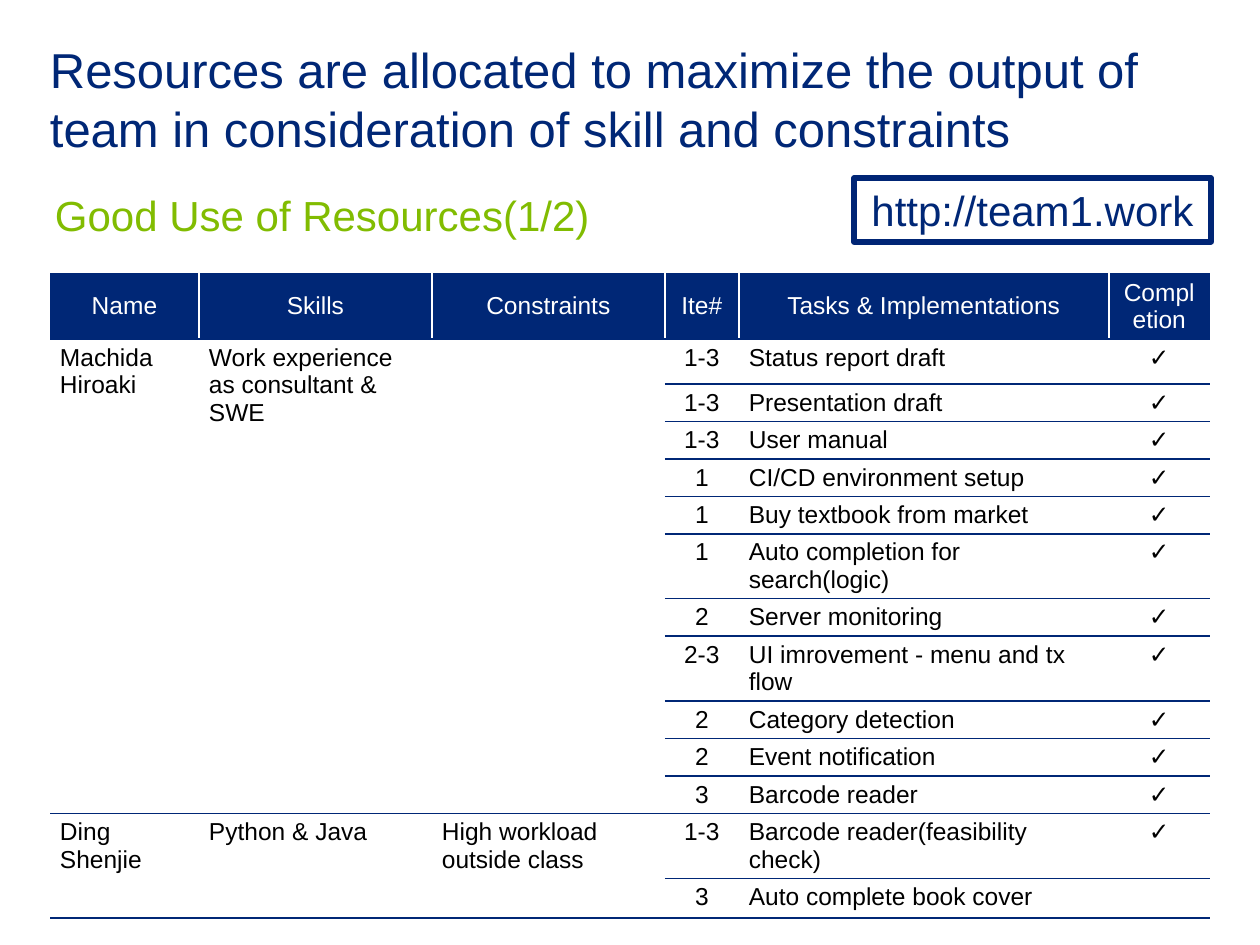
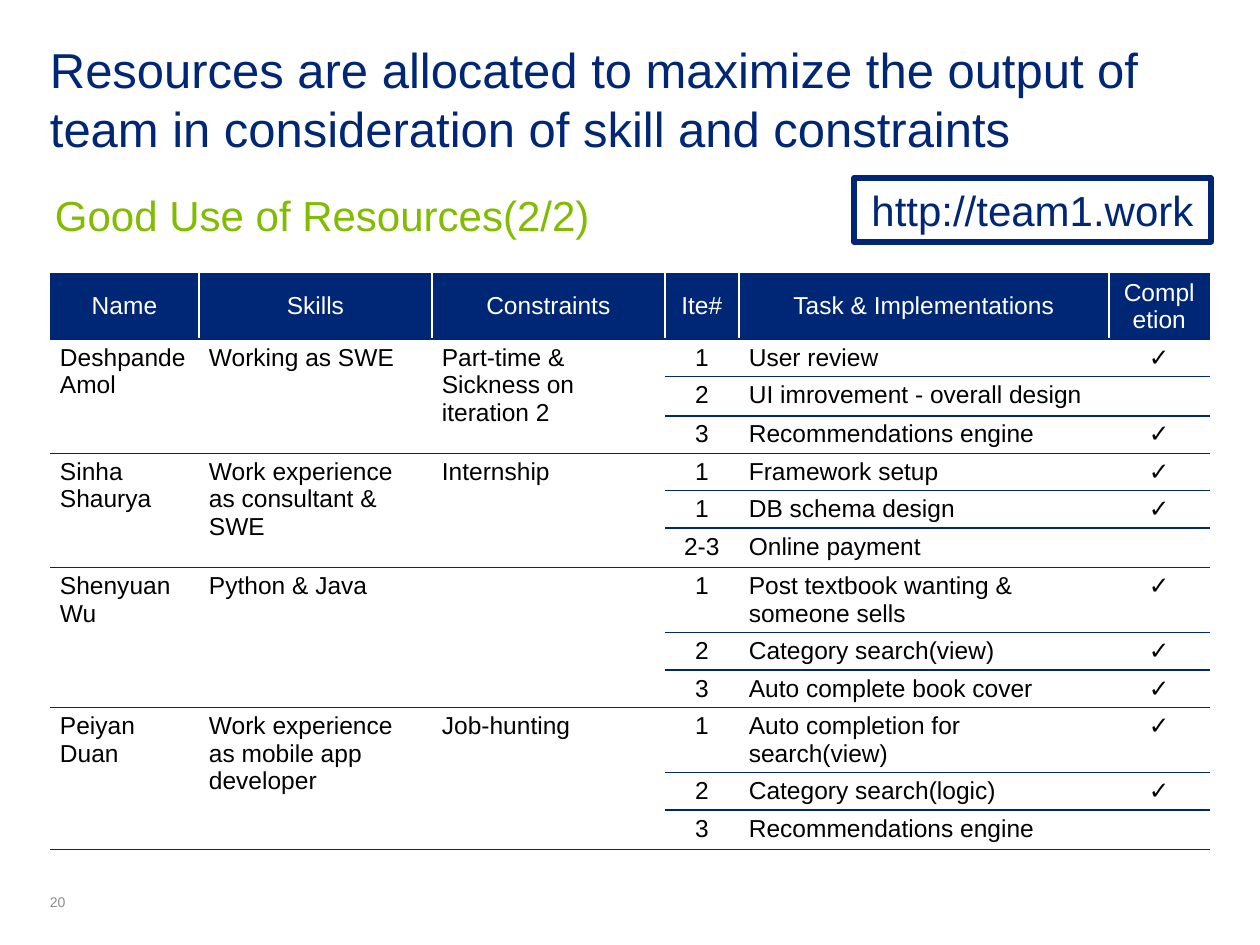
from lxml import etree
from pptx import Presentation
from pptx.dml.color import RGBColor
from pptx.enum.shapes import MSO_SHAPE
from pptx.enum.text import MSO_ANCHOR, PP_ALIGN
from pptx.oxml.ns import qn
from pptx.util import Emu, Pt

RECT = MSO_SHAPE.RECTANGLE
TOP, MIDDLE, BOTTOM = MSO_ANCHOR.TOP, MSO_ANCHOR.MIDDLE, MSO_ANCHOR.BOTTOM
LEFT, CENTER = PP_ALIGN.LEFT, PP_ALIGN.CENTER

PX = 914400 // 126
FONT = "Arial"
NAVY, FRAME, GREEN = "002776", "002575", "81BC01"
WHITE, BLACK, GRAY = "FFFFFF", "000000", "8C8C8C"
NO_STYLE = "{2D5ABB26-0587-4C30-8999-92F81FD0307C}"

TITLE = ("Resources are allocated to maximize the output of team "
         "in consideration of skill and constraints")
URL = "http://team1.work"
TITLE_BOX = (50, 40, 1160, 64)
SUBTITLE_BOX = (55, 189, 780, 44)
URL_BOX = (854, 178, 357, 64)
TABLE_BOX = (50, 274, 1160)
PAGE_BOX = (50, 893, 63, 17)

COL_WIDTHS = (149, 233, 233, 74, 370, 101)
CENTERED_COLS = (3, 5)
ONE_LINE, TWO_LINES, FIRST_TALL = 37, 65, 45
CELL_LEADING = Pt(15.7)
DONE, OPEN = "✓", ""

TEAM_1 = [
    ("Machida Hiroaki", "Work experience as consultant & SWE", "", [
        ("1-3", "Status report draft", DONE, FIRST_TALL),
        ("1-3", "Presentation draft", DONE, ONE_LINE),
        ("1-3", "User manual", DONE, ONE_LINE),
        ("1", "CI/CD environment setup", DONE, ONE_LINE),
        ("1", "Buy textbook from market", DONE, ONE_LINE),
        ("1", "Auto completion for search(logic)", DONE, TWO_LINES),
        ("2", "Server monitoring", DONE, ONE_LINE),
        ("2-3", "UI imrovement - menu and tx flow", DONE, TWO_LINES),
        ("2", "Category detection", DONE, ONE_LINE),
        ("2", "Event notification", DONE, ONE_LINE),
        ("3", "Barcode reader", DONE, ONE_LINE)]),
    ("Ding Shenjie", "Python & Java", "High workload outside class", [
        ("1-3", "Barcode reader(feasibility check)", DONE, TWO_LINES),
        ("3", "Auto complete book cover", OPEN, ONE_LINE)]),
]
TEAM_2 = [
    ("Deshpande Amol", "Working as SWE", "Part-time & Sickness on iteration 2", [
        ("1", "User review", DONE, ONE_LINE),
        ("2", "UI imrovement - overall design", OPEN, ONE_LINE),
        ("3", "Recommendations engine", DONE, ONE_LINE)]),
    ("Sinha Shaurya", "Work experience as consultant & SWE", "Internship", [
        ("1", "Framework setup", DONE, ONE_LINE),
        ("1", "DB schema design", DONE, ONE_LINE),
        ("2-3", "Online payment", OPEN, ONE_LINE)]),
    ("Shenyuan Wu", "Python & Java", "", [
        ("1", "Post textbook wanting & someone sells", DONE, TWO_LINES),
        ("2", "Category search(view)", DONE, ONE_LINE),
        ("3", "Auto complete book cover", DONE, ONE_LINE)]),
    ("Peiyan Duan", "Work experience as mobile app developer", "Job-hunting", [
        ("1", "Auto completion for search(view)", DONE, TWO_LINES),
        ("2", "Category search(logic)", DONE, ONE_LINE),
        ("3", "Recommendations engine", OPEN, ONE_LINE)]),
]


def rgb(value):
    """Turn a hex string into a colour."""
    return RGBColor.from_string(value)


def emu(box):
    """Scale a sequence of px lengths to EMU."""
    return [Emu(v * PX) for v in box]


def write(tf, text, size, color, align=LEFT, leading=None):
    """Set the single paragraph of a text frame and format it."""
    tf.text = text
    p = tf.paragraphs[0]
    p.alignment = align
    p.line_spacing = leading
    for r in p.runs:
        r.font.name, r.font.size = FONT, Pt(size)
        r.font.color.rgb = rgb(color)
    if not text:
        end = etree.SubElement(p._p, qn("a:endParaRPr"), sz=str(size * 100))
        etree.SubElement(end, qn("a:latin"), typeface=FONT)


def write_flush(tf, text, size, color, anchor, align=LEFT):
    """Write wrapped text without insets."""
    tf.margin_left = tf.margin_top = tf.margin_right = tf.margin_bottom = 0
    tf.vertical_anchor = anchor
    tf.word_wrap = True
    write(tf, text, size, color, align)


def add_label(slide, box, text, size, color, anchor=TOP):
    """Add a text box."""
    sp = slide.shapes.add_textbox(*emu(box))
    write_flush(sp.text_frame, text, size, color, anchor)


def add_url(slide, box):
    """Add the framed web address."""
    sp = slide.shapes.add_shape(RECT, *emu(box))
    sp.shadow.inherit = False
    sp.fill.background()
    sp.line.color.rgb = rgb(FRAME)
    sp.line.width = Pt(3)
    write_flush(sp.text_frame, URL, 24, NAVY, MIDDLE, CENTER)


def set_borders(cell, colors):
    """Draw 1 pt lines on the sides given in L, R, T, B order."""
    tc_pr = cell._tc.get_or_add_tcPr()
    for side, color in colors.items():
        ln = etree.SubElement(tc_pr, qn(f"a:ln{side}"), w=str(Pt(1)))
        fill = etree.SubElement(ln, qn("a:solidFill"))
        etree.SubElement(fill, qn("a:srgbClr"), val=color)


def fill_cell(cell, text, is_header, centered, borders):
    """Write and style one table cell."""
    set_borders(cell, borders)
    cell.fill.solid()
    cell.fill.fore_color.rgb = rgb(NAVY if is_header else WHITE)
    cell.margin_left, cell.margin_right = emu((10, 10))
    cell.margin_top, cell.margin_bottom = emu((5, 5))
    cell.vertical_anchor = MIDDLE if is_header else TOP
    write(cell.text_frame, text, 14, WHITE if is_header else BLACK,
          CENTER if centered else LEFT, CELL_LEADING)


def add_team_table(slide, box, task_header, team):
    """Add the table of members, each spanning the rows of their tasks."""
    header = ("Name", "Skills", "Constraints", "Ite#", task_header, "Completion")
    heights = [TWO_LINES] + [task[3] for member in team for task in member[3]]
    x, y, w = box
    frame = slide.shapes.add_table(len(heights), len(header),
                                   *emu((x, y, w, sum(heights))))
    table = frame.table
    table.horz_banding = False
    table._tbl.tblPr.find(qn("a:tableStyleId")).text = NO_STYLE
    for column, width in zip(table.columns, emu(COL_WIDTHS)):
        column.width = width
    for row, height in zip(table.rows, emu(heights)):
        row.height = height

    last = len(header) - 1
    for c, text in enumerate(header):
        sides = {"L": WHITE} if c > 0 else {}
        if c < last:
            sides["R"] = WHITE
        fill_cell(table.cell(0, c), text, True, True,
                  {**sides, "T": NAVY, "B": NAVY})

    top = 1
    for *person, tasks in team:
        end = top + len(tasks) - 1
        for c in range(len(person)):
            table.cell(top, c).merge(table.cell(end, c))
        for i, task in enumerate(tasks):
            texts = (person if i == 0 else [""] * len(person)) + list(task[:3])
            for c, text in enumerate(texts):
                spanned = c < len(person)
                sides = {}
                if not spanned or i == 0:
                    sides["T"] = NAVY
                if not spanned or i in (0, end - top):
                    sides["B"] = NAVY
                fill_cell(table.cell(top + i, c), text, False,
                          c in CENTERED_COLS, sides)
        top = end + 1


def add_resource_slide(prs, part, task_header, team, page=None):
    """Add one slide with title, subtitle, address and team table."""
    slide = prs.slides.add_slide(prs.slide_layouts[6])
    if page:
        add_label(slide, PAGE_BOX, page, 8, GRAY, BOTTOM)
    add_url(slide, URL_BOX)
    add_label(slide, TITLE_BOX, TITLE, 28, NAVY)
    add_label(slide, SUBTITLE_BOX, f"Good Use of Resources({part}/2)", 24, GREEN)
    add_team_table(slide, TABLE_BOX, task_header, team)


def main():
    """Build and save the presentation."""
    prs = Presentation()
    prs.slide_width, prs.slide_height = emu((1260, 945))
    add_resource_slide(prs, 1, "Tasks & Implementations", TEAM_1)
    add_resource_slide(prs, 2, "Task & Implementations", TEAM_2, "20")
    prs.save("out.pptx")


if __name__ == "__main__":
    main()
